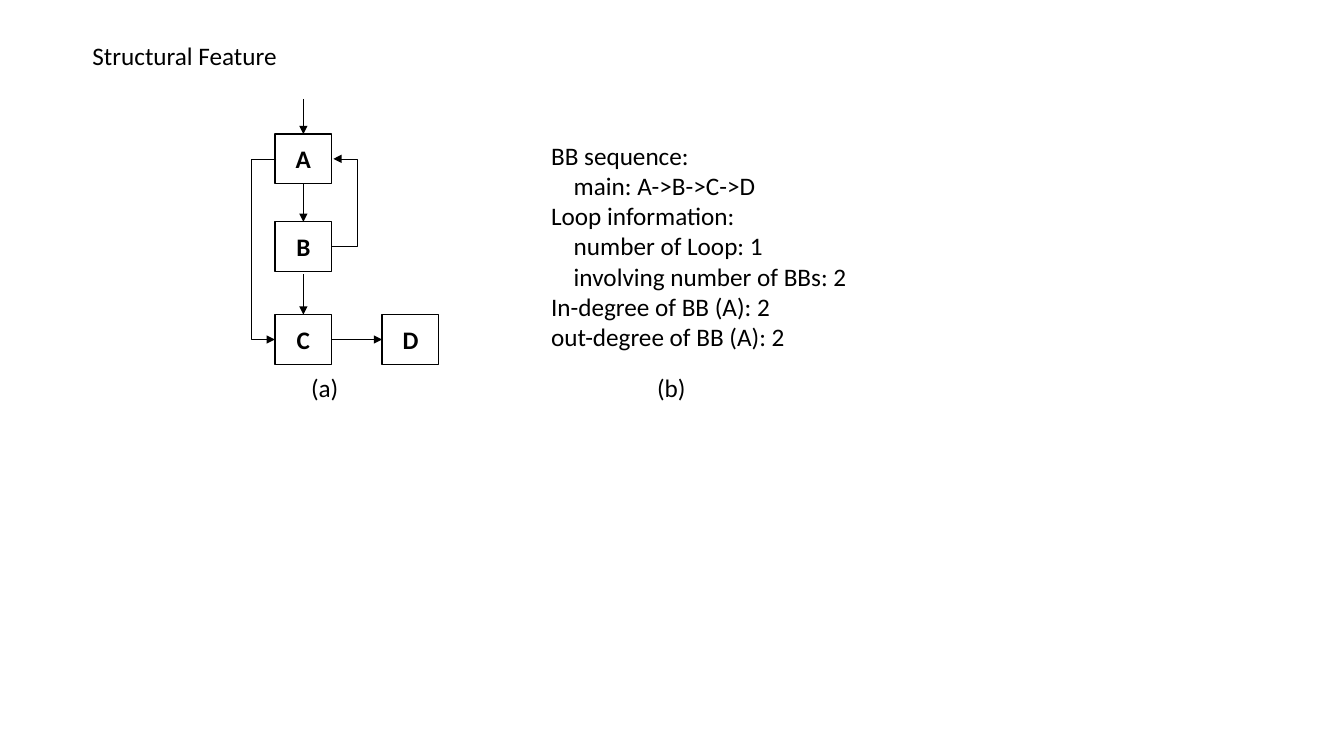
import dataclasses

import pptx
import pptx.dml.color
import pptx.enum.shapes
import pptx.enum.text
import pptx.oxml
import pptx.oxml.ns
import pptx.util

Cm = pptx.util.Cm


@dataclasses.dataclass(frozen=True)
class Theme:
    """Hold the colours, type and line sizes of the slide."""
    ink: pptx.dml.color.RGBColor = pptx.dml.color.RGBColor(0, 0, 0)
    font: str = "Calibri"
    text_size: int = 18
    box_line: float = 1
    arrow_line: float = 0.5
    indent: float = 0.57


THEME = Theme()
BOX_WIDTH, BOX_HEIGHT = 1.43, 1.25
LOOP_REACH, LOOP_OFFSET = 0.64, 0.04
BLOCKS = {"A": (6.93, 3.38), "B": (6.93, 5.59), "C": (6.93, 7.93), "D": (9.63, 7.93)}
FACTS = [
    ("BB sequence:", 0),
    ("main: A->B->C->D", 1),
    ("Loop information:", 0),
    ("number of Loop: 1", 1),
    ("involving number of BBs: 2", 1),
    ("In-degree of BB (A): 2", 0),
    ("out-degree of BB (A): 2", 0),
]
LABELS = [
    ([("Structural Feature", 0)], (2.08, 0.89, 6.35, 1.02)),
    (FACTS, (13.64, 3.4, 8.31, 6.4)),
    ([("(a)", 0)], (7.59, 9.25, 1.68, 1.02)),
    ([("(b)", 0)], (16.31, 9.25, 1.65, 1.02)),
]


def apply(target, values):
    """Set every attribute in values on target."""
    for name, value in values.items():
        setattr(target, name, value)


def write(para, text, bold=False):
    """Add one styled span to a paragraph."""
    span = para.add_run()
    span.text = text
    apply(span.font, {"name": THEME.font, "size": pptx.util.Pt(THEME.text_size), "bold": bold})
    span.font.color.rgb = THEME.ink


def add_label(page, lines, place):
    """Add a text box with one paragraph per (text, indent level) line."""
    frame = page.shapes.add_textbox(*map(Cm, place)).text_frame
    apply(frame, {"word_wrap": True, "auto_size": pptx.enum.text.MSO_AUTO_SIZE.SHAPE_TO_FIT_TEXT})
    for index, (text, level) in enumerate(lines):
        para = frame.add_paragraph() if index else frame.paragraphs[0]
        if level:
            para._p.get_or_add_pPr().set("marL", str(Cm(level * THEME.indent)))
        write(para, text)


def add_block(page, name, left, top):
    """Add an outlined basic block with its bold name."""
    kind = pptx.enum.shapes.MSO_SHAPE.RECTANGLE
    box = page.shapes.add_shape(kind, *map(Cm, (left, top, BOX_WIDTH, BOX_HEIGHT)))
    box.shadow.inherit = False
    box.fill.background()
    box.line.color.rgb = THEME.ink
    box.line.width = pptx.util.Pt(THEME.box_line)
    apply(box.text_frame, {"vertical_anchor": pptx.enum.text.MSO_ANCHOR.MIDDLE})
    para = box.text_frame.paragraphs[0]
    para.alignment = pptx.enum.text.PP_ALIGN.CENTER
    write(para, name, bold=True)


def add_arrow(page, start, end, kind=pptx.enum.shapes.MSO_CONNECTOR.STRAIGHT):
    """Add a thin connector with a triangle head at its end."""
    arrow = page.shapes.add_connector(kind, *map(Cm, (*start, *end)))
    arrow.line.color.rgb = THEME.ink
    arrow.line.width = pptx.util.Pt(THEME.arrow_line)
    head = pptx.oxml.parse_xml(f'<a:tailEnd {pptx.oxml.ns.nsdecls("a")} type="triangle"/>')
    arrow.line._get_or_add_ln().append(head)
    effects = pptx.oxml.parse_xml(f'<a:effectLst {pptx.oxml.ns.nsdecls("a")}/>')
    arrow._element.spPr.append(effects)
    return arrow


def add_loop(page, start, end):
    """Add an elbow arrow that swings out sideways past both ends."""
    arrow = add_arrow(page, start, end, pptx.enum.shapes.MSO_CONNECTOR.ELBOW)
    bend = round(100000 * LOOP_REACH / LOOP_OFFSET)
    guides = pptx.oxml.parse_xml(
        f'<a:avLst {pptx.oxml.ns.nsdecls("a")}><a:gd name="adj1" fmla="val {bend}"/></a:avLst>')
    geometry = arrow._element.spPr.find(pptx.oxml.ns.qn("a:prstGeom"))
    for child in list(geometry):
        geometry.remove(child)
    geometry.append(guides)


def side(name, across, down):
    """Return the point at the given fractions of a block's width and height."""
    left, top = BLOCKS[name]
    return left + across * BOX_WIDTH, top + down * BOX_HEIGHT


def add_flow(page):
    """Connect the blocks with straight and looping arrows."""
    center, entry = side("A", 0.5, 0)
    add_arrow(page, (center, 2.49), (center, entry))
    add_arrow(page, side("A", 0.5, 1), side("B", 0.5, 0))
    add_arrow(page, (center, 6.91), side("C", 0.5, 0))
    add_arrow(page, side("C", 1, 0.5), side("D", 0, 0.5))
    left, middle = side("A", 0, 0.5)
    add_loop(page, (left + LOOP_OFFSET, middle), side("C", 0, 0.5))
    right, middle = side("A", 1, 0.5)
    add_loop(page, side("B", 1, 0.5), (right + LOOP_OFFSET, middle))


def main():
    """Build the structural feature slide."""
    deck = pptx.Presentation()
    apply(deck, {"slide_width": Cm(33.87), "slide_height": Cm(19.05)})
    page = deck.slides.add_slide(deck.slide_layouts[6])
    for name, (left, top) in BLOCKS.items():
        add_block(page, name, left, top)
    add_flow(page)
    for lines, place in LABELS:
        add_label(page, lines, place)
    deck.save("out.pptx")


main()
